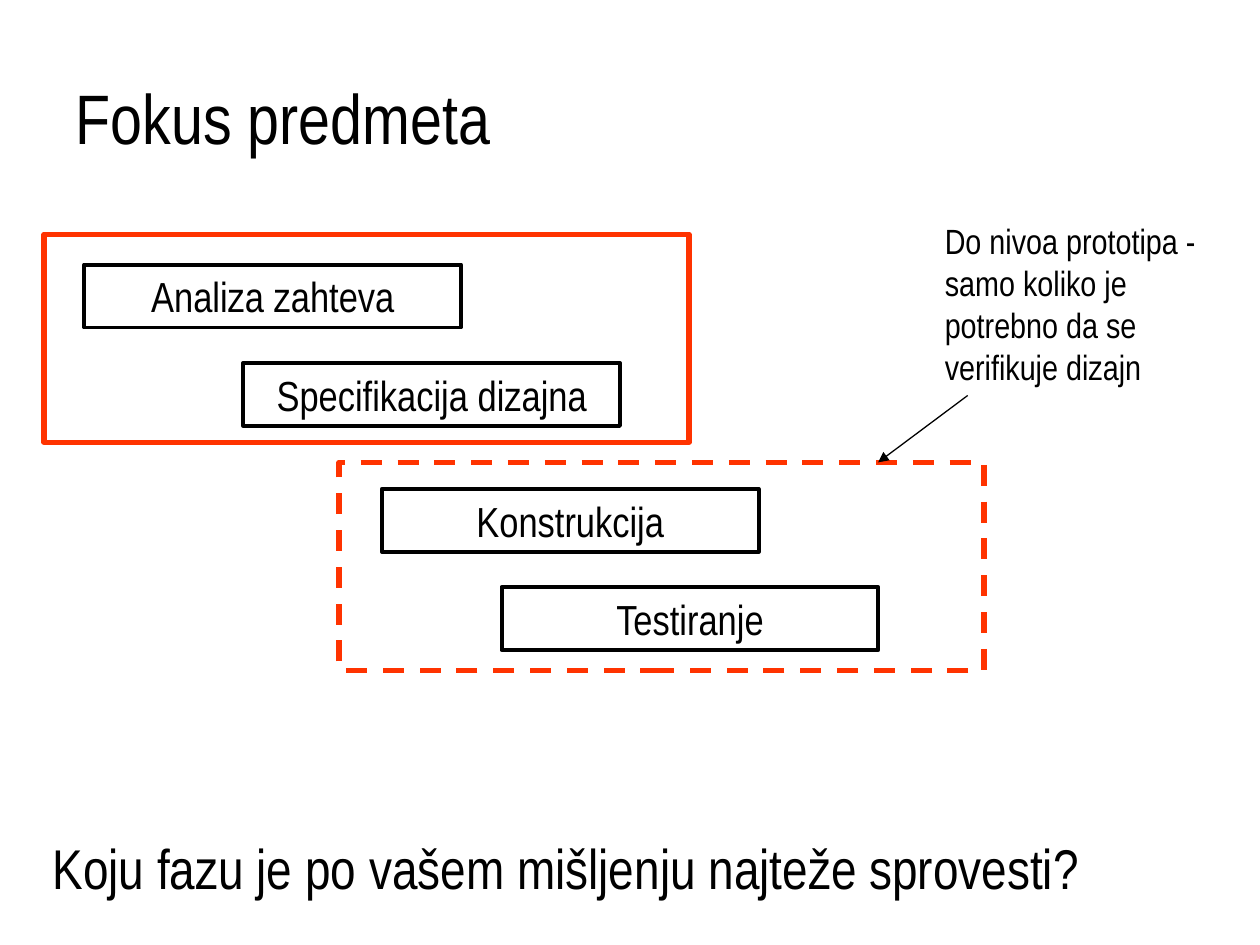
from lxml.etree import SubElement
from pptx import Presentation
from pptx.dml.color import RGBColor
from pptx.enum.dml import MSO_LINE
from pptx.enum.shapes import MSO_CONNECTOR, MSO_SHAPE
from pptx.enum.text import MSO_ANCHOR, PP_ALIGN
from pptx.oxml.ns import qn
from pptx.util import Pt

BLACK = RGBColor(0x00, 0x00, 0x00)
ORANGE = RGBColor(0xFF, 0x33, 0x00)
FONT = "Arial Narrow"
GROUP_W, GROUP_H = 368.6, 118.8
PHASE_W, PHASE_H = 215.3, 36


def place(sp, x, y, w, h):
    sp.left, sp.top, sp.width, sp.height = Pt(x), Pt(y), Pt(w), Pt(h)


def write(tf, text, size, align=PP_ALIGN.LEFT, anchor=MSO_ANCHOR.TOP):
    tf.word_wrap = True
    tf.vertical_anchor = anchor
    p = tf.paragraphs[0]
    p.alignment = align
    r = p.add_run()
    r.text = text
    r.font.name = FONT
    r.font.size = Pt(size)
    r.font.color.rgb = BLACK


def add_title(s, text, x, y, w, h):
    place(s.shapes.title, x, y, w, h)
    write(s.shapes.title.text_frame, text, 40, anchor=MSO_ANCHOR.MIDDLE)


def add_text(s, text, size, x, y, w, h):
    sp = s.shapes.add_textbox(Pt(x), Pt(y), Pt(w), Pt(h))
    write(sp.text_frame, text, size)


def add_frame(s, x, y, w, h, color, weight):
    """Add an unfilled, outlined rectangle."""
    sp = s.shapes.add_shape(MSO_SHAPE.RECTANGLE, Pt(x), Pt(y), Pt(w), Pt(h))
    sp.shadow.inherit = False
    sp.fill.background()
    sp.line.color.rgb = color
    sp.line.width = Pt(weight)
    return sp


def add_phase_group(s, x, y, phases, dash=None):
    """Frame a group of phases, each given as (name, dx, dy) from its corner."""
    frame = add_frame(s, x, y, GROUP_W, GROUP_H, ORANGE, 3)
    if dash:
        frame.line.dash_style = dash
    for name, dx, dy in phases:
        sp = add_frame(s, x + dx, y + dy, PHASE_W, PHASE_H, BLACK, 2.25)
        write(sp.text_frame, name, 24, PP_ALIGN.CENTER)


def add_arrow(s, x1, y1, x2, y2):
    line = s.shapes.add_connector(
        MSO_CONNECTOR.STRAIGHT, Pt(x1), Pt(y1), Pt(x2), Pt(y2))
    line.line.color.rgb = BLACK
    line.line.width = Pt(0.75)
    SubElement(line.line._get_or_add_ln(), qn("a:tailEnd"), type="triangle")
    SubElement(line._element.spPr, qn("a:effectLst"))


def main():
    prs = Presentation()
    prs.slide_width, prs.slide_height = Pt(720), Pt(540)
    s = prs.slides.add_slide(prs.slide_layouts[5])
    add_title(s, "Fokus predmeta", 36, 21.6, 648, 90)
    add_phase_group(s, 25.2, 133.9, [
        ("Analiza zahteva", 23, 17.3),
        ("Specifikacija dizajna", 113.8, 73.5),
    ])
    add_phase_group(s, 193.7, 264.2, [
        ("Konstrukcija", 24.5, 15.2),
        ("Testiranje", 92.9, 71.3),
    ], MSO_LINE.DASH)
    add_text(s, "Do nivoa prototipa - samo koliko je potrebno da se verifikuje dizajn",
             20, 532.8, 121.7, 187.2, 103.7)
    add_arrow(s, 553, 226, 501.8, 264.2)
    add_text(s, "Koju fazu je po vašem mišljenju najteže sprovesti?",
             32, 23, 473, 660.2, 46)
    prs.save("out.pptx")


if __name__ == "__main__":
    main()
